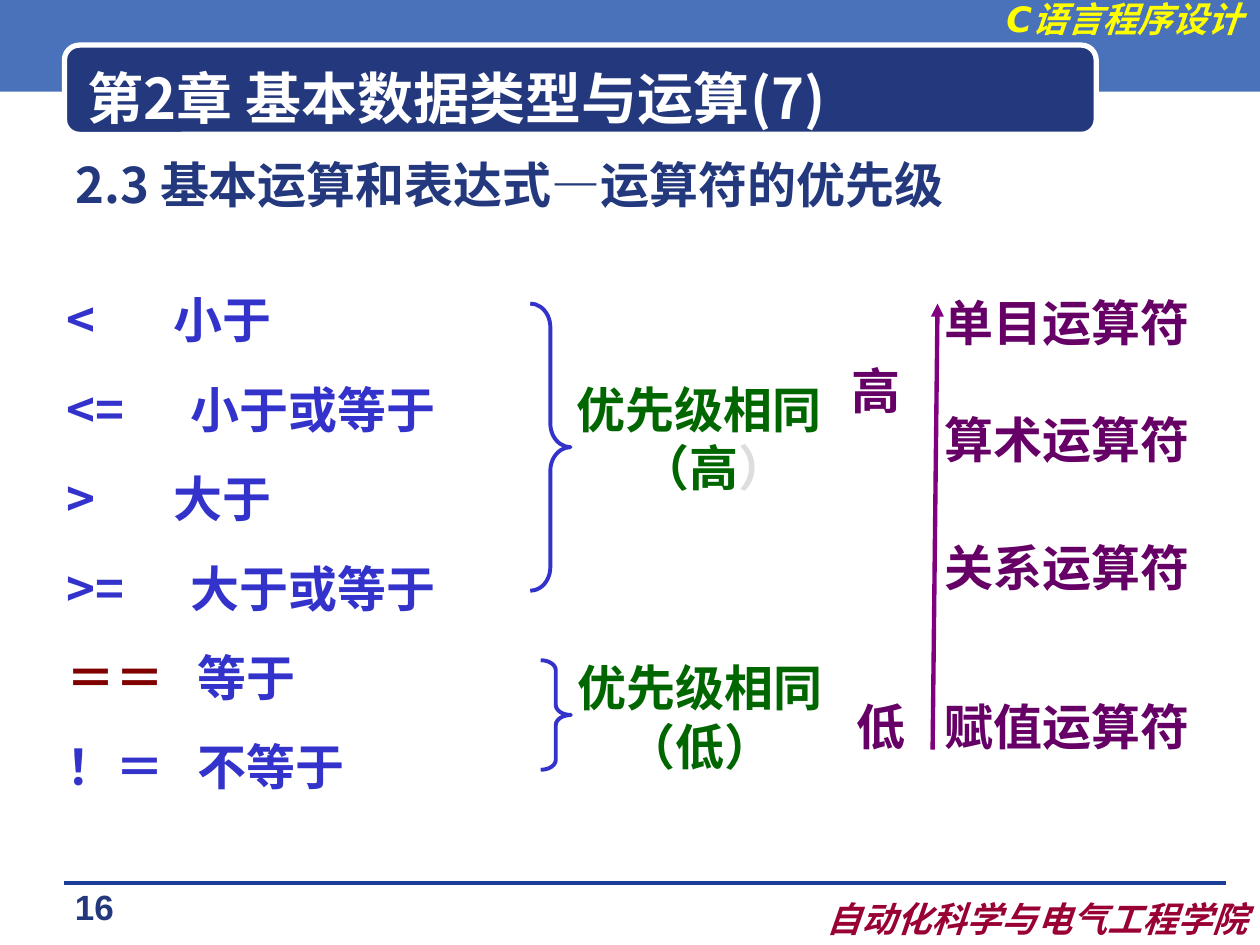
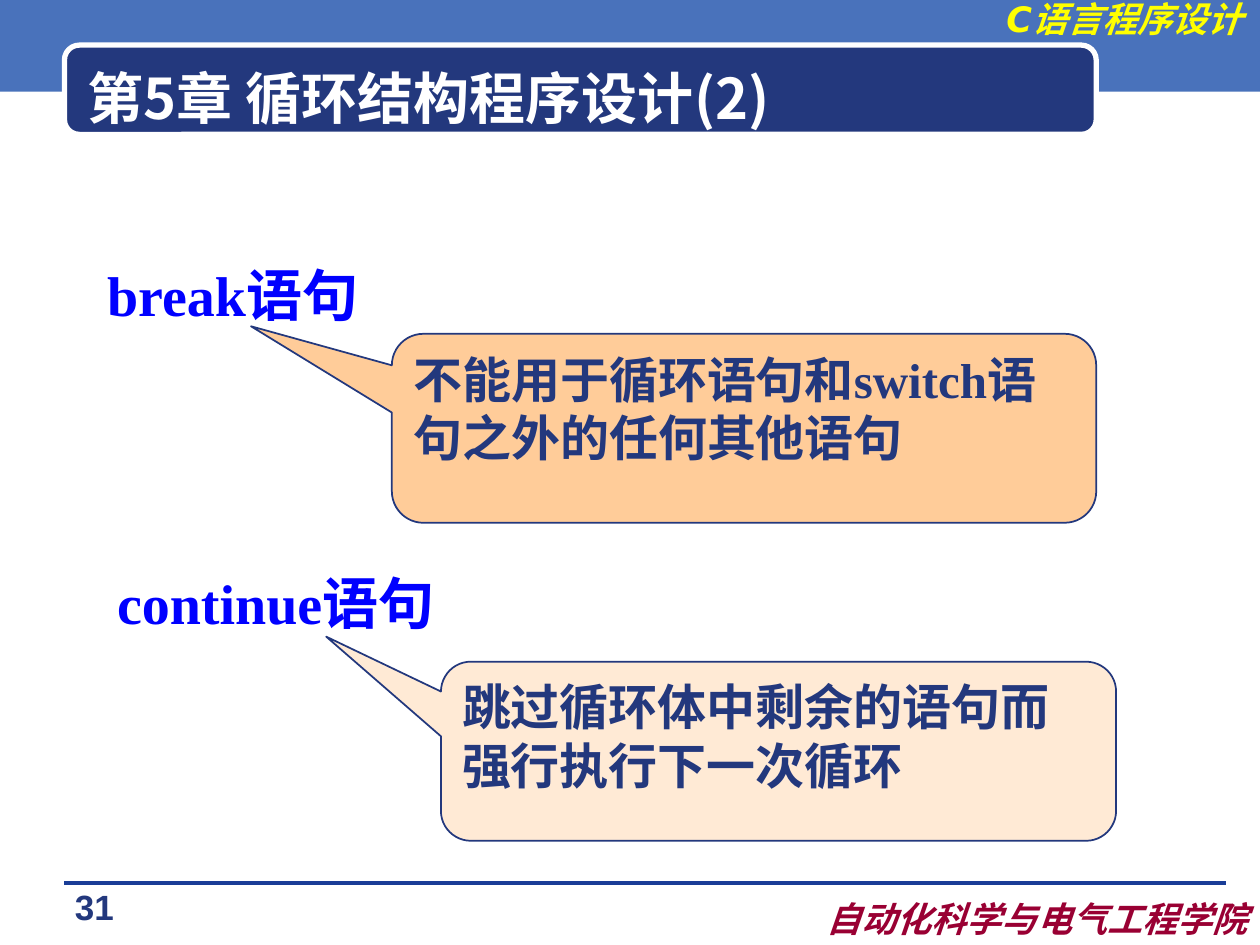
from lxml import etree
from pptx import Presentation
from pptx.dml.color import RGBColor
from pptx.enum.shapes import MSO_CONNECTOR, MSO_SHAPE
from pptx.enum.text import MSO_ANCHOR, PP_ALIGN
from pptx.oxml.ns import qn
from pptx.util import Cm, Pt

LEFT, MID, RIGHT = PP_ALIGN.LEFT, PP_ALIGN.CENTER, PP_ALIGN.RIGHT
TOP, MIDDLE = MSO_ANCHOR.TOP, MSO_ANCHOR.MIDDLE
RECT, ROUND = MSO_SHAPE.RECTANGLE, MSO_SHAPE.ROUNDED_RECTANGLE
BRACE = MSO_SHAPE.RIGHT_BRACE
CALL = MSO_SHAPE.ROUNDED_RECTANGULAR_CALLOUT
STRAIGHT = MSO_CONNECTOR.STRAIGHT
SANS, SERIF, DEJA, ARIAL = "Noto Sans CJK SC", "Times New Roman", "DejaVu Sans", "Arial"
NAVY, BLUE, RULE, WHITE = "23387D", "4972BB", "1A3D97", "FFFFFF"
YELLOW, WINE, INK, MAROON = "FFFF00", "990033", "3333CC", "800000"
GREEN, GREY, PLUM, PURPLE, PURE = "006600", "DDDDDD", "660066", "800080", "0000FF"


def color(code):
    """Turn a hex string into a colour."""
    return RGBColor.from_string(code)


def write(frame, paras, size=28, font=SANS, ink=NAVY, italic=False, align=LEFT,
          anchor=TOP, gap=0, ratio=1.2, stops=(), indents=()):
    """Fill a frame with paragraphs, each a string or a list of (text, format) runs."""
    frame.word_wrap = True
    frame.vertical_anchor = anchor
    for i, runs in enumerate(paras):
        para = frame.paragraphs[0] if i == 0 else frame.add_paragraph()
        props = para._p.get_or_add_pPr()
        if stops:
            tabs = etree.SubElement(props, qn("a:tabLst"))
            etree.SubElement(tabs, qn("a:tab"), pos=str(Cm(stops[i])), algn="l")
        if indents:
            props.set("marL", str(Cm(indents[i])))
        para.alignment = align
        para.line_spacing = Pt(round(size * ratio, 1))
        if i:
            para.space_before = Pt(gap)
        for text, style in [(runs, {})] if isinstance(runs, str) else runs:
            run = para.add_run()
            run.text = text
            run.font.size = Pt(size)
            run.font.bold = True
            run.font.italic = italic
            run.font.name = style.get("font", font)
            run.font.color.rgb = color(style.get("ink", ink))
            etree.SubElement(run.font._element, qn("a:ea"), typeface=SANS)


def label(slide, box, *paras, **style):
    """Add a text box."""
    write(slide.shapes.add_textbox(*map(Cm, box)).text_frame, paras, **style)


def shape(slide, kind, box, fill=None, line=None, width=1, adjust=()):
    """Add a flat preset shape."""
    item = slide.shapes.add_shape(kind, *map(Cm, box))
    item.shadow.inherit = False
    if fill:
        item.fill.solid()
        item.fill.fore_color.rgb = color(fill)
    else:
        item.fill.background()
    if line:
        item.line.color.rgb = color(line)
        item.line.width = Pt(width)
    else:
        item.line.fill.background()
    for i, value in enumerate(adjust):
        item.adjustments[i] = value
    return item


def rule(slide, ends, ink, width, arrow=False):
    """Draw a straight line, with an arrowhead at its end if asked."""
    item = slide.shapes.add_connector(STRAIGHT, *map(Cm, ends))
    item.line.color.rgb = color(ink)
    item.line.width = Pt(width)
    if arrow:
        etree.SubElement(item.line._get_or_add_ln(), qn("a:tailEnd"), type="triangle")
    etree.SubElement(item._element.spPr, qn("a:effectLst"))


def frame(deck, title, number):
    """Start a slide with the shared band, title and footer."""
    slide = deck.slides.add_slide(deck.slide_layouts[6])
    shape(slide, RECT, (0, -0.08, 25.4, 1.93), BLUE)
    rule(slide, (1.3, 17.8, 24.71, 17.8), RULE, 0)
    shape(slide, ROUND, (1.3, 0.91, 20.8, 1.8), NAVY, WHITE, 3)
    mark = dict(size=20, font=DEJA, italic=True, align=RIGHT)
    label(slide, (18.9, -0.18, 6.4, 1.12), "C语言程序设计", ink=YELLOW, **mark)
    label(slide, (15.14, 17.96, 10.26, 1.12), "自动化科学与电气工程学院", ink=WINE, **mark)
    label(slide, (0.51, 17.73, 2.79, 1.09), number, size=20, font=ARIAL, align=MID)
    label(slide, (1.52, 1.17, 19.89, 1.57), title, size=32, ink=WHITE, anchor=MIDDLE)
    return slide


def signs(slide, box):
    """List the comparison operators."""
    label(slide, box, "<\t小于", "<=\t小于或等于", ">\t大于", ">=\t大于或等于",
          [("＝＝", {"ink": MAROON}), ("\t等于", {})], "！＝\t不等于",
          ink=INK, gap=17.5, stops=(2.16, 2.5, 2.16, 2.5, 2.65, 2.65))


def group(slide, box, bend, drop, level, shift=0):
    """Brace some operators and name their shared priority."""
    x, y, w, h = box
    shape(slide, BRACE, box, line=INK, width=2.25, adjust=(bend, 0.5))
    label(slide, (x + w - 0.2, y + drop, 5.59, 2.64), "优先级相同", level,
          ink=GREEN, align=MID, indents=(0, shift))


def scale(slide, box):
    """Rank the kinds of operator along an arrow."""
    x, y, w, h = box
    style = dict(font=SERIF, ink=PLUM)
    rule(slide, (x + 1.88, y + h, x + 1.98, y + 0.58), PURPLE, 2.5, arrow=True)
    for word, dx, dy in (("低", 0.1, 8.38), ("高", 0, 1.6)):
        label(slide, (x + dx, y + dy, 1.8, 1.45), word, **style)
    for word, dy in (("赋值运算符", 8.38), ("关系运算符", 5.18), ("算术运算符", 2.59)):
        label(slide, (x + 1.88, y + dy, w - 1.88, 1.45), word, **style)
    label(slide, (x + 1.88, y, w - 1.88, 1.68), "单目运算符", ratio=1.44, **style)


def note(slide, box, word, text, fill, tip, dx, dy):
    """Add a statement name with a callout explaining it."""
    x, y, w, h = box
    label(slide, (x, y, 10.01, 1.63), word, size=32, font=SERIF, ink=PURE)
    item = shape(slide, CALL, (x + dx, y + dy, w, h), fill, NAVY, 1, (*tip, 0.167))
    write(item.text_frame, [text], font=SERIF)


def rank(deck):
    """Build the slide on operator priority."""
    slide = frame(deck, "第2章 基本数据类型与运算(7)", "16")
    label(slide, (1.27, 3, 22.86, 1.5),
          [("2.3 基本运算和表达式", {}), ("—", {"font": ARIAL}), ("运算符的优先级", {})])
    signs(slide, (1.09, 5.72, 10.72, 10.46))
    group(slide, (10.69, 6.12, 0.81, 5.79), 0.59, 1.4,
          [("（高", {}), ("）", {"ink": GREY})], 0.6)
    group(slide, (10.9, 13.31, 0.61, 2.21), 0.33, -0.18, "（低）")
    scale(slide, (16.92, 5.54, 7.98, 9.57))


def loops(deck):
    """Build the slide on break and continue."""
    slide = frame(deck, "第5章 循环结构程序设计(2)", "31")
    note(slide, (1.91, 5.13, 14.2, 3.81), "break语句",
         "不能用于循环语句和switch语句之外的任何其他语句",
         "FFCC99", (-0.7, -0.54), 5.99, 1.6)
    note(slide, (2.11, 11.33, 13.61, 3.61), "continue语句",
         "跳过循环体中剩余的语句而强行执行下一次循环",
         "FFEAD5", (-0.67, -0.64), 6.78, 2.01)


def main():
    """Build and save the deck."""
    deck = Presentation()
    deck.slide_width, deck.slide_height = Cm(25.4), Cm(19.05)
    rank(deck)
    loops(deck)
    deck.save("out.pptx")


if __name__ == "__main__":
    main()
